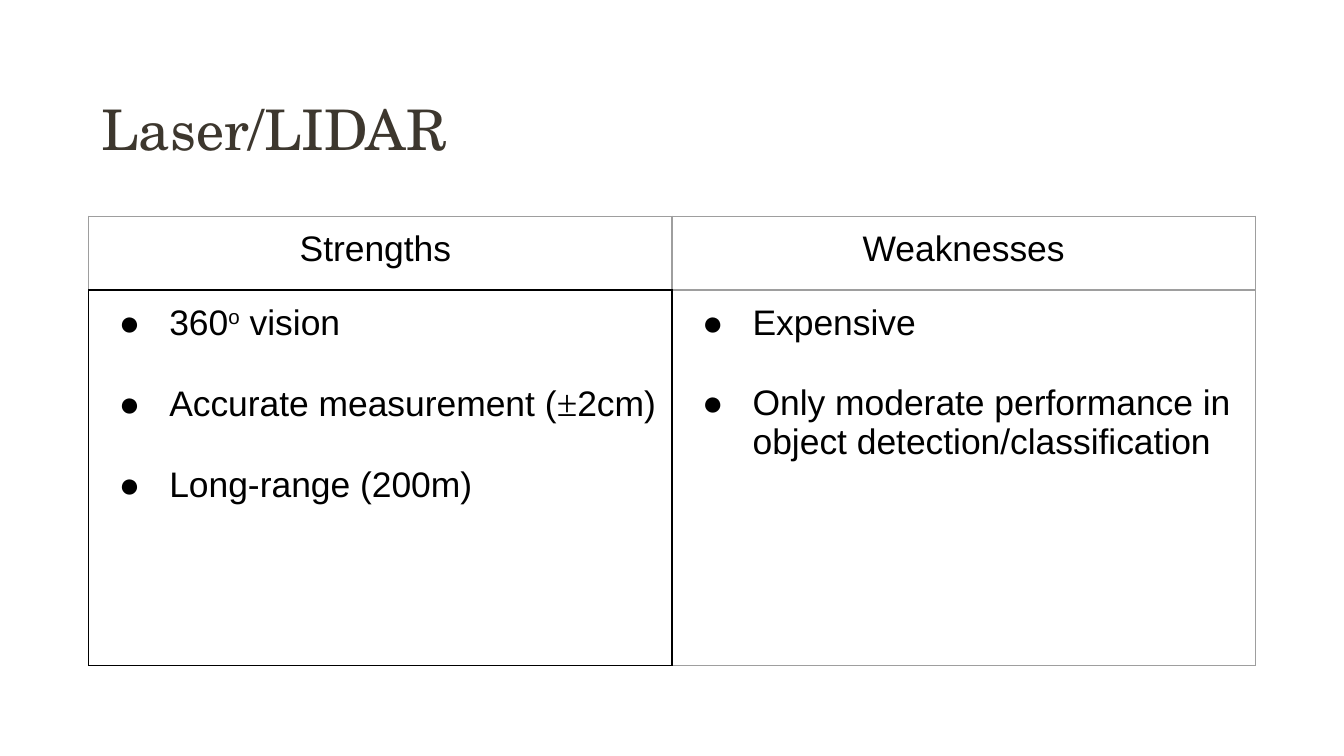
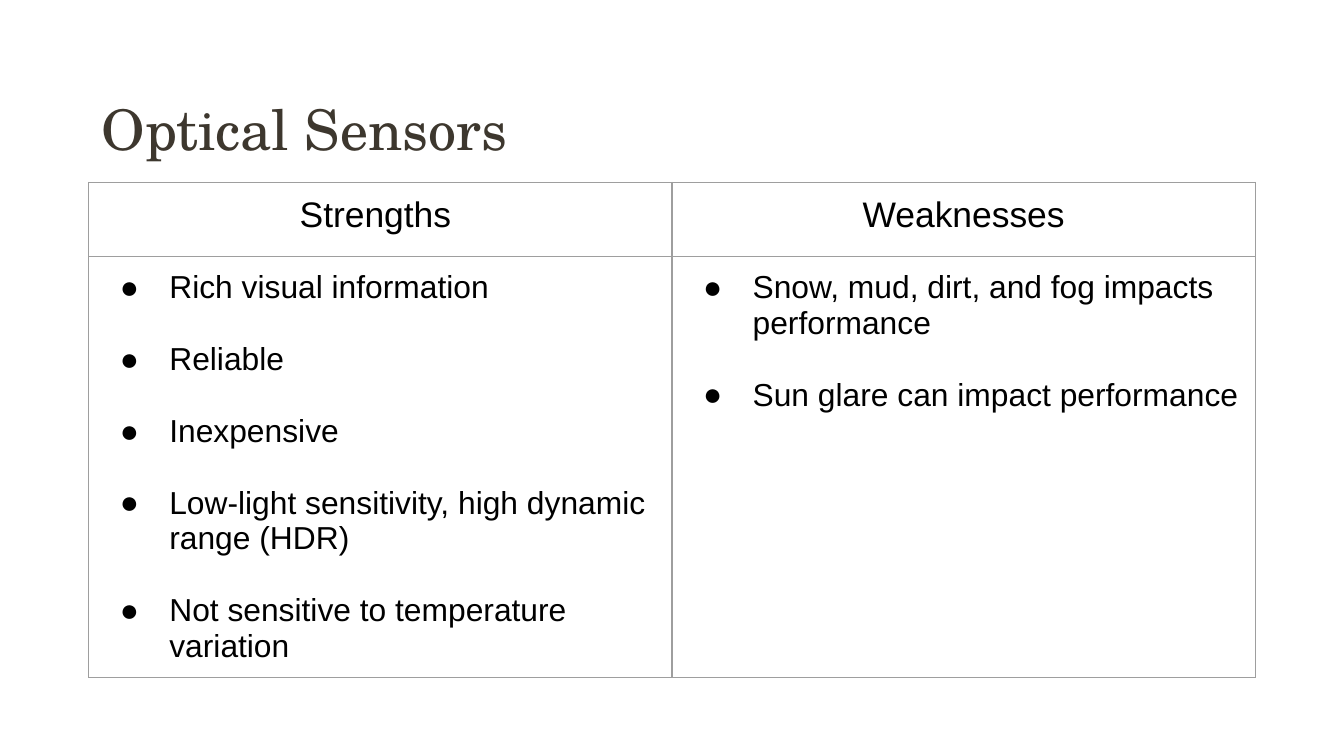
from lxml import etree
from pptx import Presentation
from pptx.dml.color import RGBColor
from pptx.enum.text import MSO_ANCHOR, MSO_AUTO_SIZE, PP_ALIGN
from pptx.oxml.ns import qn
from pptx.util import Pt

BOTTOM = MSO_ANCHOR.BOTTOM
NO_AUTOFIT = MSO_AUTO_SIZE.NONE
LEFT = PP_ALIGN.LEFT
CENTER = PP_ALIGN.CENTER

BROWN = RGBColor(0x3D, 0x37, 0x2E)
BLACK = RGBColor(0, 0, 0)
GREY = RGBColor(0x9E, 0x9E, 0x9E)
TITLE_FONT = "TeX Gyre Schola"
BODY_FONT = "Arial"
SYMBOL_FONT = "Times New Roman"

HEADINGS = ["Strengths ", "Weaknesses"]
HEADING_SIZE = 19
TITLE_ONLY = 5
COLUMN_WIDTH = 312.5
ROW_HEIGHTS = [39.6, 201]
CELL_MARGIN = 7.2
BULLET_INDENT = 36

# Each bullet is a tuple of runs.
SENSORS = [
    {
        "title": "Laser/LIDAR",
        "top": 115.8,
        "size": 19,
        "hanging": 27,
        "strengths_border": BLACK,
        "points": [
            [("360", "o", " vision"),
             ("Accurate measurement (", "±", "2cm)"),
             ("Long-range (200m)",)],
            [("Expensive",),
             ("Only moderate performance in object detection/classification",)],
        ],
    },
    {
        "title": "Optical Sensors",
        "top": 97.7,
        "size": 17,
        "hanging": 26.5,
        "strengths_border": GREY,
        "points": [
            [("Rich visual information",),
             ("Reliable",),
             ("Inexpensive",),
             ("Low-light sensitivity, high dynamic range (HDR)",),
             ("Not sensitive to temperature variation",)],
            [("Snow, mud, dirt, and fog impacts performance",),
             ("Sun glare can impact performance",)],
        ],
    },
]


def add_run(paragraph, text, size, font_name=BODY_FONT, color=BLACK):
    run = paragraph.add_run()
    run.text = text
    run.font.size = Pt(size)
    run.font.name = font_name
    run.font.color.rgb = color
    return run


def format_cell(cell, edges):
    """Set margins, the four border colours (left, right, top, bottom) and no fill."""
    cell.margin_left = cell.margin_right = Pt(CELL_MARGIN)
    cell.margin_top = cell.margin_bottom = Pt(CELL_MARGIN)
    properties = cell._tc.get_or_add_tcPr()
    for side, color in zip("LRTB", edges):
        line = etree.SubElement(properties, qn(f"a:ln{side}"), w=str(Pt(0.75)))
        fill = etree.SubElement(line, qn("a:solidFill"))
        etree.SubElement(fill, qn("a:srgbClr"), val=str(color))
    cell.fill.background()


prs = Presentation()
prs.slide_width = Pt(720)
prs.slide_height = Pt(405)

for sensor in SENSORS:
    slide = prs.slides.add_slide(prs.slide_layouts[TITLE_ONLY])

    title = slide.shapes.title
    title.left, title.top = Pt(49.5), Pt(22.5)
    title.width, title.height = Pt(621), Pt(67.5)
    frame = title.text_frame
    frame.auto_size = NO_AUTOFIT
    frame.vertical_anchor = BOTTOM
    frame.margin_left = frame.margin_right = Pt(5)
    frame.margin_top = frame.margin_bottom = Pt(3)
    heading = frame.paragraphs[0]
    heading.alignment = LEFT
    heading.line_spacing = 0.9
    add_run(heading, sensor["title"], 30, TITLE_FONT, BROWN)

    table = slide.shapes.add_table(
        2, 2, Pt(47.5), Pt(sensor["top"]),
        Pt(2 * COLUMN_WIDTH), Pt(sum(ROW_HEIGHTS))).table
    table.first_row = False
    table.horz_banding = False
    for row, height in zip(table.rows, ROW_HEIGHTS):
        row.height = Pt(height)

    # The strengths cell shares its top and right edges with its neighbours.
    accent = sensor["strengths_border"]
    format_cell(table.cell(0, 0), [GREY, GREY, GREY, accent])
    format_cell(table.cell(0, 1), [GREY] * 4)
    format_cell(table.cell(1, 0), [accent] * 4)
    format_cell(table.cell(1, 1), [accent, GREY, GREY, GREY])

    for column, (label, points) in enumerate(zip(HEADINGS, sensor["points"])):
        table.columns[column].width = Pt(COLUMN_WIDTH)
        header = table.cell(0, column).text_frame.paragraphs[0]
        header.alignment = CENTER
        add_run(header, label, HEADING_SIZE)

        body = table.cell(1, column).text_frame
        for index, pieces in enumerate(points):
            if index == 0:
                point = body.paragraphs[0]
            else:
                point = body.add_paragraph()
                point.space_before = Pt(round(sensor["size"] * 1.14, 1))
            properties = point._p.get_or_add_pPr()
            properties.set("marL", str(Pt(BULLET_INDENT)))
            properties.set("indent", str(-Pt(sensor["hanging"])))
            bullet_color = etree.SubElement(properties, qn("a:buClr"))
            etree.SubElement(bullet_color, qn("a:srgbClr"), val=str(BLACK))
            etree.SubElement(properties, qn("a:buFont"), typeface=BODY_FONT)
            etree.SubElement(properties, qn("a:buChar"), char="●")
            for piece in pieces:
                if piece == "±":
                    add_run(point, piece, 20, SYMBOL_FONT)
                    continue
                run = add_run(point, piece, sensor["size"])
                if piece == "o":
                    run._r.get_or_add_rPr().set("baseline", "30000")

prs.save("out.pptx")
